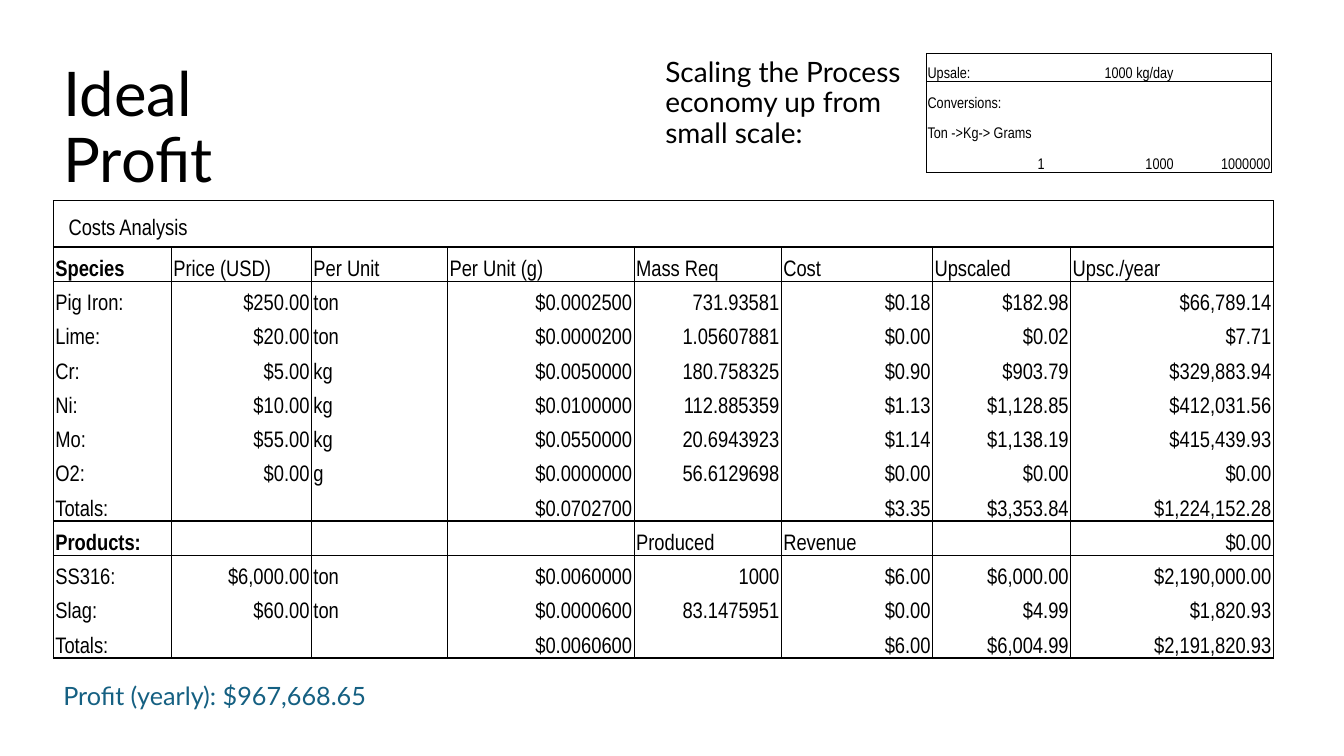
import pptx
import pptx.util
import pptx.dml.color
import pptx.enum.text
import pptx.oxml
import pptx.oxml.ns
import lxml.etree

Inches, Pt = pptx.util.Inches, pptx.util.Pt
ALIGN, ANCHOR = pptx.enum.text.PP_ALIGN, pptx.enum.text.MSO_ANCHOR
COLORS = {"ink": "000000", "profit": "156082"}
HEADING, NUMBERS = "Lato", "Arial Narrow"
LEFT, TOP = 0.53, 0.53


def add_text(tf, text, size, font, color="ink", bold=False):
    p = tf.paragraphs[0]
    p.alignment = ALIGN.LEFT
    r = p.add_run()
    r.text = text
    r.font.size, r.font.name, r.font.bold = Pt(size), font, bold
    r.font.color.rgb = pptx.dml.color.RGBColor.from_string(COLORS[color])
    return p


def add_grid(x, y, widths, heights, rows, size, inset, rules, first_ruled_row):
    """Draw a table; rules are the row edges with a horizontal line, and
    inner vertical lines start at first_ruled_row."""
    n = len(widths)
    frame = s.shapes.add_table(len(rows), n, Inches(x), Inches(y),
                               Inches(sum(widths)), Inches(sum(heights)))
    table = frame.table
    table.first_row = table.horz_banding = False
    for column, width in zip(table.columns, widths):
        column.width = Inches(width)
    for row, height in zip(table.rows, heights):
        row.height = Inches(height)
    for i, texts in enumerate(rows):
        for j in range(n):
            cell = table.cell(i, j)
            cell.vertical_anchor = ANCHOR.BOTTOM
            cell.margin_left = cell.margin_right = cell.margin_top = Inches(inset)
            cell.margin_bottom = 0
            text = texts[j] if j < len(texts) else ""
            if text:
                p = add_text(cell.text_frame, text, size, NUMBERS,
                             bold=text in ("Species", "Products:"))
                if text[0] in "$0123456789":
                    p.alignment = ALIGN.RIGHT
            else:
                end = cell.text_frame.paragraphs[0]._p.get_or_add_endParaRPr()
                end.set("sz", str(size * 100))
            # Borders
            ruled = i >= first_ruled_row
            sides = {"lnL": ruled or j == 0, "lnR": ruled or j == n - 1,
                     "lnT": i in rules, "lnB": i + 1 in rules}
            tcPr = cell._tc.get_or_add_tcPr()
            for tag, shown in sides.items():
                ln = lxml.etree.SubElement(tcPr, pptx.oxml.ns.qn("a:" + tag), w=str(Pt(1)))
                paint = "a:solidFill" if shown else "a:noFill"
                fill = lxml.etree.SubElement(ln, pptx.oxml.ns.qn(paint))
                if shown:
                    lxml.etree.SubElement(fill, pptx.oxml.ns.qn("a:srgbClr"), val=COLORS["ink"])
            cell.fill.background()
    return table


prs = pptx.Presentation()
prs.slide_width, prs.slide_height = Inches(13.33), Inches(7.5)
s = prs.slides.add_slide(prs.slide_layouts[5])

# Title
title = s.shapes.title
title.left, title.top = Inches(LEFT), Inches(0.68)
title.width, title.height = Inches(2.92), Inches(1.21)
tf = title.text_frame
tf.word_wrap = True
tf.auto_size = pptx.enum.text.MSO_AUTO_SIZE.NONE
tf.vertical_anchor = ANCHOR.MIDDLE
add_text(tf, "Ideal Profit", 44, HEADING).line_spacing = 0.9

# Scaling note and yearly profit
for x, y, w, h, text, size, color, spacing in [
    (6.5, TOP, 2.69, 1.19, "Scaling the Process economy up from small scale:", 20, "ink", 0.9),
    (LEFT, 6.7, 6.67, 0.4, "Profit (yearly): $967,668.65", 18, "profit", 1.0),
]:
    sp = s.shapes.add_textbox(Inches(x), Inches(y), Inches(w), Inches(h))
    sp.text_frame.word_wrap = True
    add_text(sp.text_frame, text, size, HEADING, color).line_spacing = spacing

# Costs analysis
costs = [
    ["Costs Analysis"],
    ["Species", "Price (USD)", "Per Unit", "Per Unit (g)", "Mass Req", "Cost", "Upscaled", "Upsc./year"],
    ["Pig Iron:", "$250.00", "ton", "$0.0002500", "731.93581", "$0.18", "$182.98", "$66,789.14"],
    ["Lime:", "$20.00", "ton", "$0.0000200", "1.05607881", "$0.00", "$0.02", "$7.71"],
    ["Cr:", "$5.00", "kg", "$0.0050000", "180.758325", "$0.90", "$903.79", "$329,883.94"],
    ["Ni:", "$10.00", "kg", "$0.0100000", "112.885359", "$1.13", "$1,128.85", "$412,031.56"],
    ["Mo:", "$55.00", "kg", "$0.0550000", "20.6943923", "$1.14", "$1,138.19", "$415,439.93"],
    ["O2:", "$0.00", "g", "$0.0000000", "56.6129698", "$0.00", "$0.00", "$0.00"],
    ["Totals:", "", "", "$0.0702700", "", "$3.35", "$3,353.84", "$1,224,152.28"],
    ["Products:", "", "", "", "Produced", "Revenue", "", "$0.00"],
    ["SS316:", "$6,000.00", "ton", "$0.0060000", "1000", "$6.00", "$6,000.00", "$2,190,000.00"],
    ["Slag:", "$60.00", "ton", "$0.0000600", "83.1475951", "$0.00", "$4.99", "$1,820.93"],
    ["Totals:", "", "", "$0.0060600", "", "$6.00", "$6,004.99", "$2,191,820.93"],
]
cost_table = add_grid(LEFT, 1.99, [1.17, 1.39, 1.35, 1.85, 1.46, 1.5, 1.37, 2.01],
                      [0.46] + [0.34] * 12, costs, 16, 0.02, {0, 1, 2, 9, 10, 13}, 1)
heading = cost_table.cell(0, 0)
heading.merge(cost_table.cell(0, 1))
heading.margin_left = heading.margin_right = Inches(0.15)
heading.margin_top = heading.margin_bottom = Inches(0.07)

# Upsale and unit conversions
conversions = [
    ["Upsale:", "1000 kg/day"],
    ["Conversions:"],
    ["Ton ->Kg-> Grams"],
    ["1", "1000", "1000000"],
]
conversion_table = add_grid(9.19, TOP, [1.18, 1.28, 0.96], [0.28] + [0.3] * 3,
                            conversions, 11, 0.01, {0, 1, 4}, len(conversions))
conversion_table.cell(2, 0).merge(conversion_table.cell(2, 1))

prs.save("out.pptx")
